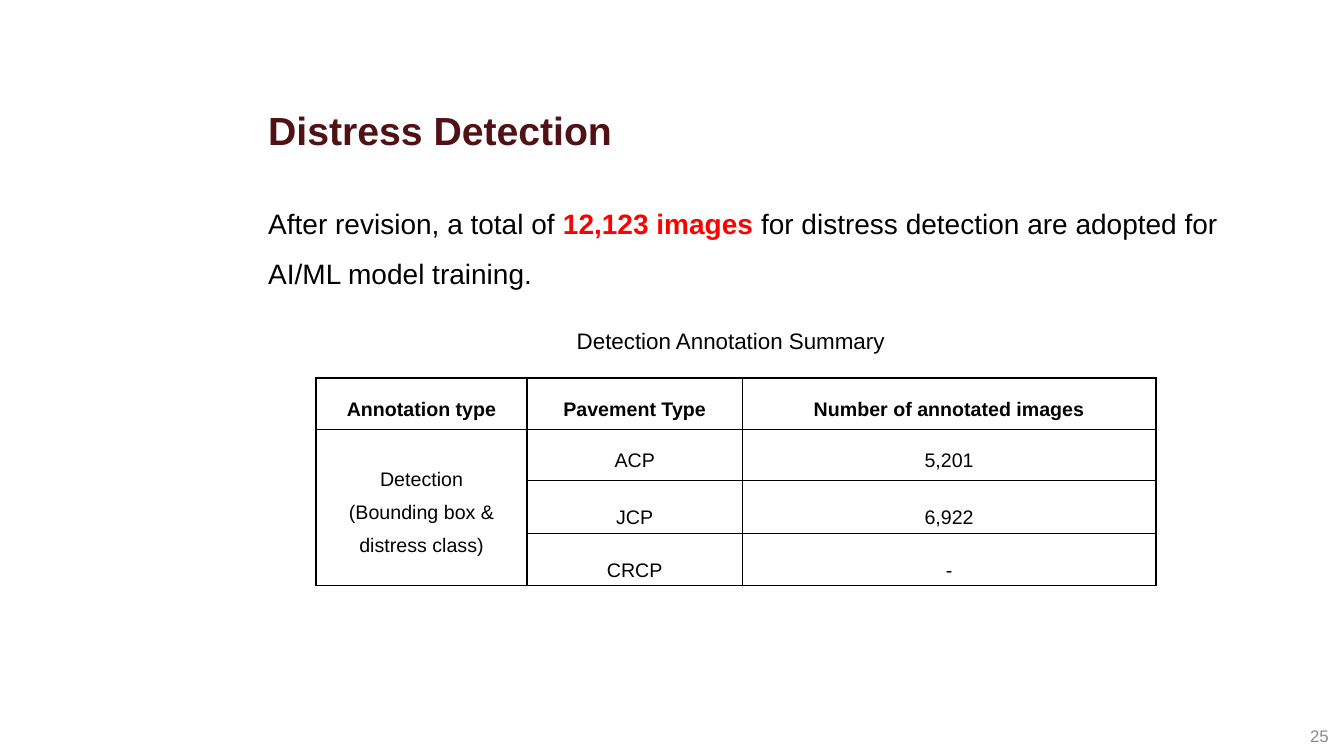
from lxml.etree import SubElement as Sub
from pptx import Presentation as Deck
from pptx.dml.color import RGBColor as RGB
from pptx.enum.text import MSO_ANCHOR as Anchor, PP_ALIGN as Align
from pptx.oxml.ns import qn
from pptx.util import Pt

PX = 9525  # EMU per px, 96 px to the inch
FONT = "Arial"
COLORS = {
    "title": "501215",
    "text": "000000",
    "mark": "FF0000",
    "page": "8C8C8C",
    "cell": "FFFFFF",
    "line": "000000",
}
COLS = [201, 205, 394]
ROWS = [49, 49, 50, 50]
HEAD = ["Annotation type", "Pavement Type", "Number of annotated images"]
KIND = ["Detection", "(Bounding box & distress class)"]
COUNTS = [("ACP", "5,201"), ("JCP", "6,922"), ("CRCP", "-")]


def px(*nums):
    return [n * PX for n in nums]


def color(name):
    return RGB.from_string(COLORS[name])


def write(frame, *paras, size, ink="text", bold=False, align=Align.LEFT,
          anchor=Anchor.TOP, space=1.0):
    """Each paragraph is a string or a list of (text, ink, bold) runs."""
    frame.word_wrap = True
    frame.vertical_anchor = anchor
    for i, parts in enumerate(paras):
        para = frame.add_paragraph() if i else frame.paragraphs[0]
        para.alignment = align
        para.line_spacing = space
        if isinstance(parts, str):
            parts = [(parts, ink, bold)]
        for text, tint, heavy in parts:
            run = para.add_run()
            run.text = text
            font = run.font
            font.name, font.size, font.bold = FONT, Pt(size), heavy
            font.color.rgb = color(tint)


def label(slide, box, *paras, **form):
    write(slide.shapes.add_textbox(*px(*box)).text_frame, *paras, **form)


def border(cell):
    props = cell._tc.get_or_add_tcPr()
    for side in ("lnL", "lnR", "lnT", "lnB"):
        line = Sub(props, qn("a:" + side), w=str(Pt(1)))
        fill = Sub(line, qn("a:solidFill"))
        Sub(fill, qn("a:srgbClr"), val=COLORS["line"])


def fill_cell(cell, *paras, **form):
    cell.margin_left = cell.margin_right = 7 * PX
    cell.margin_top = cell.margin_bottom = 0
    cell.vertical_anchor = Anchor.MIDDLE
    write(cell.text_frame, *paras, size=14, align=Align.CENTER, **form)


def grid(slide, left, top):
    frame = slide.shapes.add_table(
        len(ROWS), len(COLS), *px(left, top, sum(COLS), sum(ROWS)))
    table = frame.table
    for col, width in zip(table.columns, COLS):
        col.width = width * PX
    for row, height in zip(table.rows, ROWS):
        row.height = height * PX
    for cell in table.iter_cells():
        border(cell)
        cell.fill.solid()
        cell.fill.fore_color.rgb = color("cell")

    # Header row
    for c, text in enumerate(HEAD):
        fill_cell(table.cell(0, c), text, bold=True, space=1.5)

    # Annotation type, spanning all pavement rows
    table.cell(1, 0).merge(table.cell(len(COUNTS), 0))
    fill_cell(table.cell(1, 0), *KIND, space=1.5)

    # Image counts
    for r, pair in enumerate(COUNTS, 1):
        for c, text in enumerate(pair, 1):
            fill_cell(table.cell(r, c), text, space=1.5 if r == 1 else 2.0)


def main():
    deck = Deck()
    deck.slide_width, deck.slide_height = px(1280, 720)
    slide = deck.slides.add_slide(deck.slide_layouts[6])

    # Title and page number
    label(slide, (246, 64, 960, 120), "Distress Detection", size=28,
          ink="title", bold=True, anchor=Anchor.MIDDLE)
    label(slide, (1098, 682, 177, 38), "25", size=12, ink="page",
          align=Align.RIGHT, anchor=Anchor.MIDDLE)

    # Lead sentence
    lead = [
        ("After revision, a total of ", "text", False),
        ("12,123 images ", "mark", True),
        ("for distress detection are adopted for AI/ML model training.",
         "text", False),
    ]
    label(slide, (246, 176, 960, 86), lead, size=20, space=1.5)

    # Table with its caption
    grid(slide, 301, 360)
    label(slide, (456, 307, 480, 36), "Detection Annotation Summary",
          size=16, align=Align.CENTER)

    deck.save("out.pptx")


if __name__ == "__main__":
    main()
